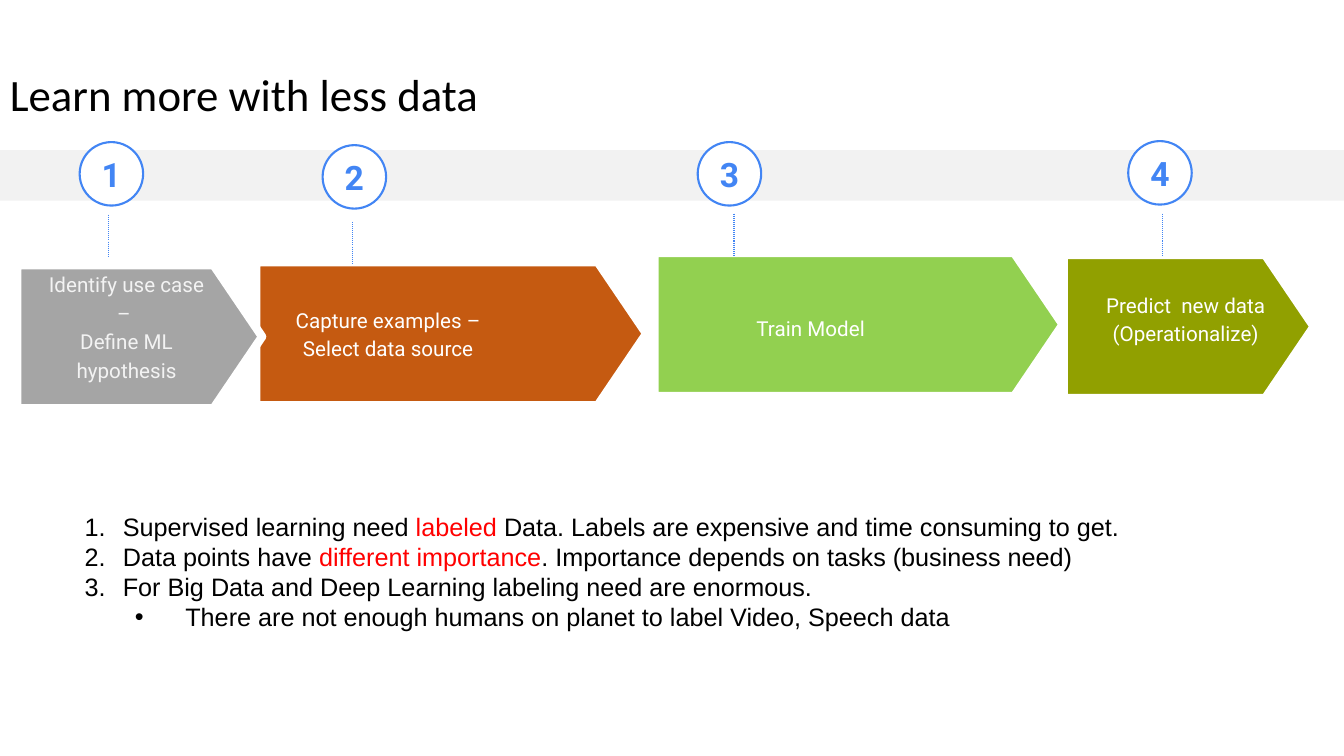
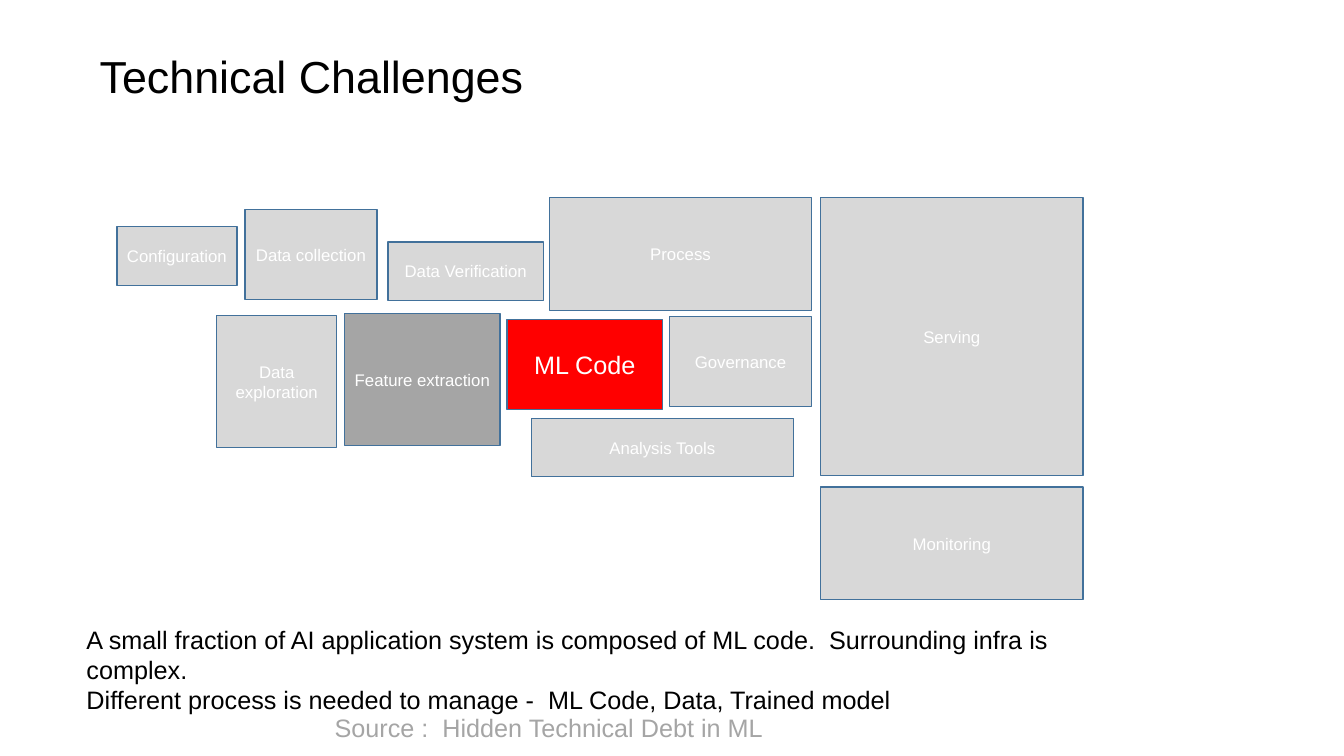
from collections import namedtuple

from pptx import Presentation
from pptx import util as u
from pptx.dml import color as col
from pptx.enum import dml, shapes, text
from pptx.oxml import ns, xmlchemy as xml

INK, WHITE, RED, BLUE = "000000", "FFFFFF", "FF0000", "4285F4"
GREY, PALE, BAND, EDGE = "A5A5A5", "D8D8D8", "F2F2F2", "42719B"
SANS, HEAD, STEP = "Arial", "Calibri", "Roboto"
MID = text.MSO_ANCHOR.MIDDLE
LOW = text.MSO_ANCHOR.BOTTOM
TOP = text.MSO_ANCHOR.TOP
CENTER = text.PP_ALIGN.CENTER

Step = namedtuple("Step", "num left top width tint lines ink label badge stem")

STEPS = [
    Step("3", 6.49, 2.51, 4.05, "92D050", ["Train Model"], WHITE,
         (0.36, 0.38, 2.38), (0.43, -1.1), (0.79, -0.39)),
    Step("2", 2.54, 2.6, 3.87, "C55A11",
         ["Capture examples –", "Select data source"], WHITE,
         (0.02, 0.35, 2.58), (0.66, -1.16), (0.96, -0.4)),
    Step("1", 0.17, 2.63, 2.43, GREY,
         ["Identify use case – ", "Define ML hypothesis"], "F3F3F3",
         (0.11, 0.25, 1.95), (0.62, -1.22), (0.91, -0.5)),
    Step("4", 10.55, 2.53, 2.48, "91A000",
         ["Predict  new data", "(Operationalize)"], WHITE,
         (0.02, 0.27, 2.38), (0.64, -1.13), (0.98, -0.41)),
]

POINTS = [
    [("Supervised learning need ", INK), ("labeled", RED),
     (" Data. Labels are expensive and time consuming to get.", INK)],
    [("Data points have ", INK), ("different importance", RED),
     (". Importance depends on tasks (business need)", INK)],
    "For Big Data and Deep Learning labeling need are enormous.",
]
DETAIL = "There are not enough humans on planet to label Video, Speech data"

BLOCKS = [
    ("Configuration", 0, 0.29, 1.19, 0.58),
    ("Data collection", 1.27, 0.12, 1.31, 0.89),
    ("Data Verification", 2.69, 0.44, 1.54, 0.58),
    ("ML Code", 3.87, 1.21, 1.54, 0.89),
    ("Feature extraction", 2.26, 1.15, 1.54, 1.31),
    ("Analysis Tools", 4.11, 2.19, 2.6, 0.58),
    ("Process", 4.29, 0, 2.6, 1.12),
    ("Serving", 6.98, 0, 2.6, 2.76),
    ("Monitoring", 6.98, 2.87, 2.6, 1.12),
    ("Data exploration", 0.99, 1.17, 1.19, 1.31),
    ("Governance", 5.48, 1.18, 1.41, 0.89),
]
STRONG = {"ML Code": (RED, 18), "Feature extraction": (GREY, 12)}


def paint(part, tint):
    part.solid()
    part.fore_color.rgb = col.RGBColor.from_string(tint)


def inch(*nums):
    return [u.Inches(num) for num in nums]


def write(shape, paras, size=18, face=SANS, ink=INK, bold=False,
          align=None, gap=None, anchor=TOP, pad=(0.1, 0.05)):
    frame = shape.text_frame
    frame.word_wrap = True
    frame.vertical_anchor = anchor
    frame.margin_left = frame.margin_right = u.Inches(pad[0])
    frame.margin_top = frame.margin_bottom = u.Inches(pad[1])
    for i, para in enumerate(paras):
        line = frame.add_paragraph() if i else frame.paragraphs[0]
        line.alignment = align
        line.line_spacing = gap
        for words, tint in [(para, ink)] if isinstance(para, str) else para:
            run = line.add_run()
            run.text = words
            run.font.size = u.Pt(size)
            run.font.name = face
            run.font.bold = bold
            paint(run.font.fill, tint)
    return frame


def note(slide, box, paras, **form):
    return write(slide.shapes.add_textbox(*inch(*box)), paras, **form)


def draw(slide, kind, box, tint, edge=None, width=1):
    shape = slide.shapes.add_shape(kind, *inch(*box))
    shape.shadow.inherit = False
    paint(shape.fill, tint)
    if edge:
        paint(shape.line.fill, edge)
        shape.line.width = u.Pt(width)
    else:
        shape.line.fill.background()
    return shape


def stem(slide, left, top, height):
    line = slide.shapes.add_connector(
        shapes.MSO_CONNECTOR.STRAIGHT, *inch(left, top, left, top + height))
    paint(line.line.fill, BLUE)
    line.line.width = u.Pt(0.75)
    line.line.dash_style = dml.MSO_LINE.ROUND_DOT
    xml.OxmlElement("a:effectLst")
    line._element.spPr.append(xml.OxmlElement("a:effectLst"))


def mark(para, tag, left, hang, **attrs):
    props = para._p.get_or_add_pPr()
    props.set("marL", str(u.Inches(left)))
    props.set("indent", str(-u.Inches(hang)))
    tone = xml.OxmlElement("a:buClr")
    shade = xml.OxmlElement("a:srgbClr")
    shade.set("val", INK)
    tone.append(shade)
    font = xml.OxmlElement("a:buFont")
    font.set("typeface", SANS)
    sign = xml.OxmlElement(tag)
    for key, val in attrs.items():
        sign.set(key, val)
    props.extend([tone, font, sign])


def title(slide, box, words, **form):
    note(slide, box, [words], size=32, **form)


def stage(slide, step):
    left, top = step.left, step.top
    arrow = draw(slide, shapes.MSO_SHAPE.RIGHT_ARROW,
                 (left, top, step.width, 1.42), step.tint, WHITE, 6)
    arrow.adjustments[0] = 1
    arrow.adjustments[1] = 0.339
    arrow.line._get_or_add_ln().append(xml.OxmlElement("a:round"))
    x, y, wide = step.label
    note(slide, (left + x, top + y, wide, 0.7), step.lines, size=14.7,
         face=STEP, ink=step.ink, align=CENTER, gap=1.15, anchor=MID,
         pad=(0.13, 0.13))
    x, y = step.badge
    badge = draw(slide, shapes.MSO_SHAPE.OVAL,
                 (left + x, top + y, 0.63, 0.63), WHITE, BLUE, 1.5)
    write(badge, [step.num], size=24, face=STEP, ink=BLUE, bold=True,
          align=CENTER, anchor=MID, pad=(0, 0))
    x, y = step.stem
    stem(slide, left + x, top + y, 0.41)


def points(slide, box):
    frame = note(slide, box, POINTS + [DETAIL])
    *main, last = frame.paragraphs
    for para in main:
        mark(para, "a:buAutoNum", 0.38, 0.38, type="arabicPeriod")
    last.level = 1
    mark(last, "a:buChar", 1, 0.5, char="•")


def blocks(slide, left, top):
    for name, x, y, wide, high in BLOCKS:
        tint, size = STRONG.get(name, (PALE, 12))
        block = draw(slide, shapes.MSO_SHAPE.RECTANGLE,
                     (left + x, top + y, wide, high), tint, EDGE)
        write(block, [name], size=size, ink=WHITE, align=CENTER, anchor=MID)


def learn(slide):
    points(slide, (0.74, 5.02, 11.92, 1.62))
    draw(slide, shapes.MSO_SHAPE.RECTANGLE, (0, 1.49, 13.33, 0.5), BAND)
    for step in STEPS:
        stage(slide, step)
    title(slide, (0, 0.51, 11.5, 0.74), "Learn more with less data",
          face=HEAD, gap=0.9, anchor=LOW)


def tech(slide):
    blocks(slide, 1.16, 1.96)
    title(slide, (0.89, 0.43, 10.57, 0.64), "Technical Challenges")
    note(slide, (0.76, 6.14, 10, 0.71), [
        "A small fraction of AI application system is composed of ML code.  "
        "Surrounding infra is complex.",
        "Different process is needed to manage -  ML Code, Data, Trained model",
    ])
    note(slide, (3.22, 7.02, 4.65, 0.4),
         ["Source :  Hidden Technical Debt in ML"], ink=GREY)


def main():
    deck = Presentation()
    deck.slide_width, deck.slide_height = inch(13.33, 7.5)
    for build in (learn, tech):
        build(deck.slides.add_slide(deck.slide_layouts[6]))
    deck.save("out.pptx")


if __name__ == "__main__":
    main()
